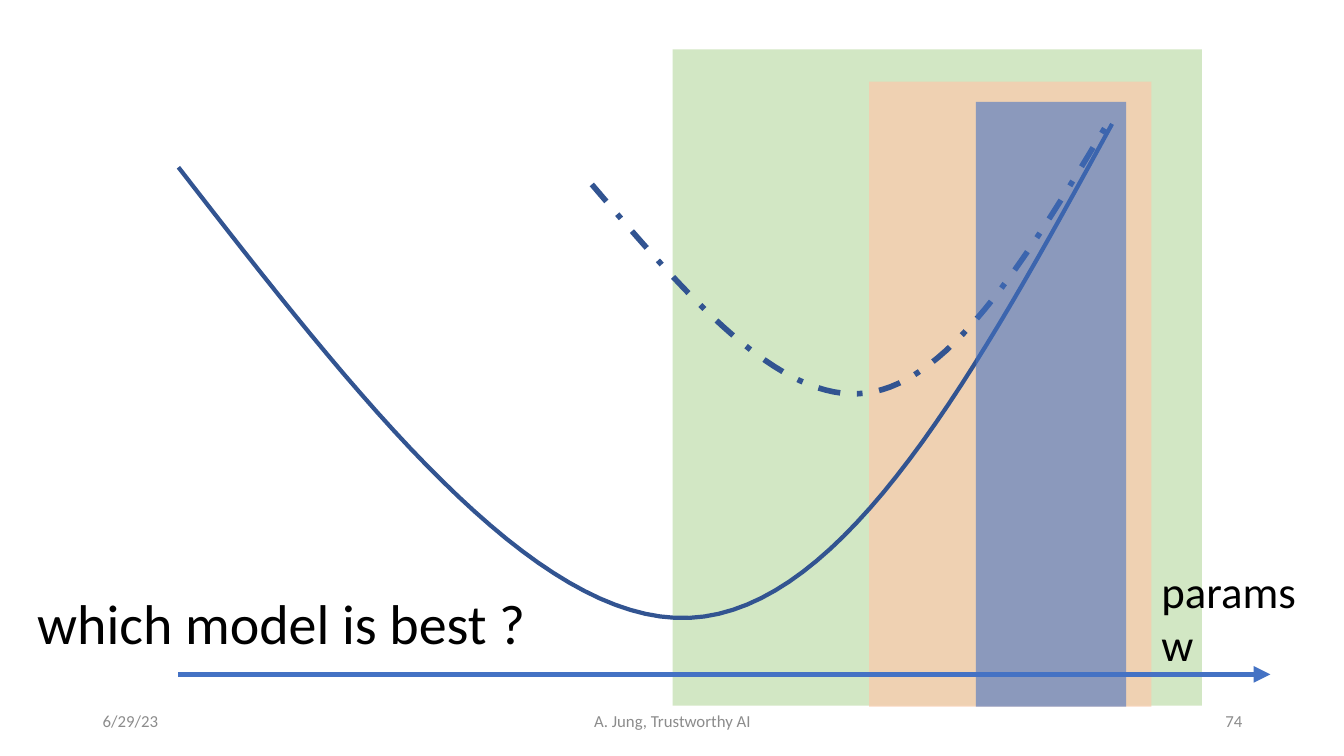
"""Build a slide that compares two loss curves over model parameter ranges."""
from dataclasses import dataclass

import lxml.etree
import pptx
import pptx.dml.color
import pptx.enum.dml
import pptx.enum.shapes
import pptx.enum.text
import pptx.oxml.ns
import pptx.util

ALIGN = pptx.enum.text.PP_ALIGN
ANCHOR = pptx.enum.text.MSO_ANCHOR
DASH = pptx.enum.dml.MSO_LINE


@dataclass(frozen=True)
class Theme:
    font: str = "Calibri"
    ink: str = "000000"
    muted: str = "8C8C8C"
    green: str = "A9D18E"
    peach: str = "F8CBAD"
    blue: str = "4472C4"
    curve: str = "325491"
    question: int = 40
    label: int = 32
    footer: int = 12


def rgb(value):
    return pptx.dml.color.RGBColor.from_string(value)


def add_child(parent, tag, **attributes):
    return lxml.etree.SubElement(parent, pptx.oxml.ns.qn(tag), **attributes)


def bezier_point(t, *controls):
    weights = ((1 - t) ** 3, 3 * t * (1 - t) ** 2, 3 * t**2 * (1 - t), t**3)
    return tuple(
        sum(weight * value for weight, value in zip(weights, axis))
        for axis in zip(*controls)
    )


class SlideBuilder:
    SCALE = 9144
    CURVE_STEPS = 32

    def __init__(self, theme, width, height):
        self.theme = theme
        self.deck = pptx.Presentation()
        self.deck.slide_width, self.deck.slide_height = self.emu(width, height)
        self.slide = self.deck.slides.add_slide(self.deck.slide_layouts[6])

    def emu(self, *lengths):
        return [pptx.util.Emu(round(length * self.SCALE)) for length in lengths]

    def region(self, box, color, opacity):
        area = self.slide.shapes.add_shape(
            pptx.enum.shapes.MSO_SHAPE.RECTANGLE, *self.emu(*box)
        )
        area.shadow.inherit = False
        area.line.fill.background()
        area.fill.solid()
        area.fill.fore_color.rgb = rgb(color)
        tint = area.fill._xPr.find(".//" + pptx.oxml.ns.qn("a:srgbClr"))
        add_child(tint, "a:alpha", val=str(opacity * 1000))

    def text(self, content, box, *, size, color=None, align=ALIGN.LEFT,
             anchor=ANCHOR.TOP, wrap=True):
        frame = self.slide.shapes.add_textbox(*self.emu(*box)).text_frame
        frame.word_wrap = wrap
        frame.vertical_anchor = anchor
        paragraph = frame.paragraphs[0]
        paragraph.text = content
        paragraph.alignment = align
        paragraph.font.name = self.theme.font
        paragraph.font.size = pptx.util.Pt(size)
        paragraph.font.color.rgb = rgb(color or self.theme.ink)

    def arrow(self, start, end, color, weight):
        axis = self.slide.shapes.add_connector(
            pptx.enum.shapes.MSO_CONNECTOR.STRAIGHT, *self.emu(*start, *end)
        )
        axis.line.color.rgb = rgb(color)
        axis.line.width = pptx.util.Pt(weight)
        add_child(axis.line._get_or_add_ln(), "a:tailEnd", type="triangle")
        add_child(axis._element.spPr, "a:effectLst")

    def curve(self, knots, weight, dash=None):
        points = [
            self.emu(*bezier_point(step / self.CURVE_STEPS, *knots[i:i + 4]))
            for i in range(0, len(knots) - 1, 3)
            for step in range(1, self.CURVE_STEPS + 1)
        ]
        outline = self.slide.shapes.build_freeform(*self.emu(*knots[0]), scale=1.0)
        outline.add_line_segments(points, close=False)
        loss = outline.convert_to_shape()
        loss.shadow.inherit = False
        loss.fill.background()
        loss.line.color.rgb = rgb(self.theme.curve)
        loss.line.width = pptx.util.Pt(weight)
        if dash:
            loss.line.dash_style = dash

    def footer(self, content, left, width, align):
        self.text(content, (left, 695, width, 40), size=self.theme.footer,
                  color=self.theme.muted, align=align, anchor=ANCHOR.MIDDLE)


def main():
    theme = Theme()
    builder = SlideBuilder(theme, 1333, 750)

    builder.region((667, 49, 525, 651), theme.green, 52)
    builder.region((862, 81, 280, 620), theme.peach, 77)
    builder.text("params w", (1142, 554, 190, 118), size=theme.label)
    builder.arrow((177, 669), (1260, 669), theme.blue, 4)
    builder.curve([(177, 166), (353, 393), (530, 620), (684, 613),
                   (839, 606), (971, 364), (1103, 123)], 3)
    builder.curve([(587, 183), (680, 292), (773, 401), (859, 390),
                   (946, 379), (1024, 247), (1103, 115)], 4, DASH.DASH_DOT)
    builder.region((968, 101, 149, 600), theme.blue, 58)
    builder.text("which model is best ?", (27, 579, 509, 77),
                 size=theme.question, wrap=False)

    builder.footer("A. Jung, Trustworthy AI", 442, 450, ALIGN.CENTER)
    builder.footer("74", 942, 300, ALIGN.RIGHT)
    builder.footer("6/29/23", 92, 300, ALIGN.LEFT)

    builder.deck.save("out.pptx")


if __name__ == "__main__":
    main()
